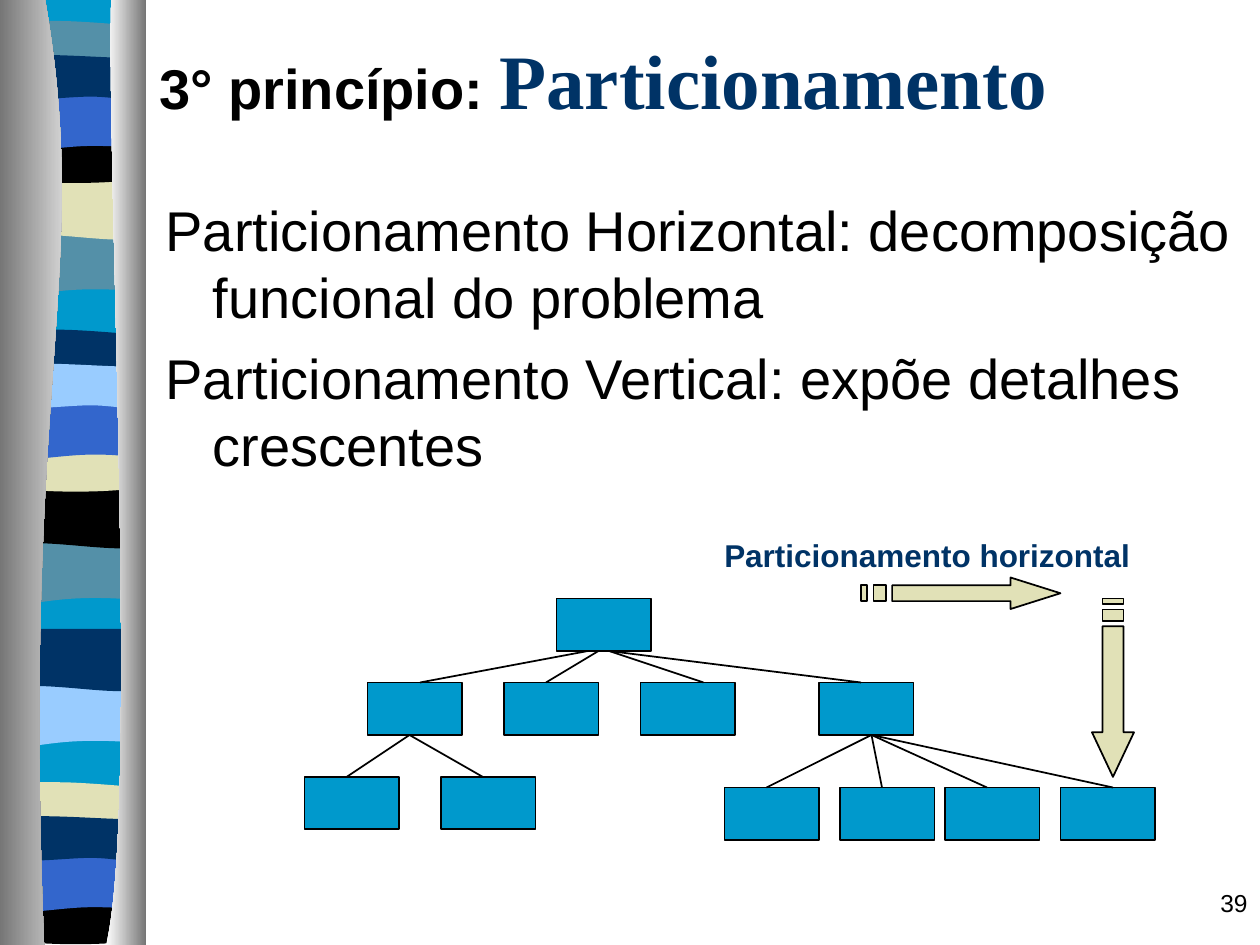
from pptx import Presentation
from pptx.dml.color import RGBColor
from pptx.enum.shapes import MSO_CONNECTOR, MSO_SHAPE
from pptx.enum.text import MSO_ANCHOR, PP_ALIGN
from pptx.oxml.ns import qn
from pptx.util import Inches, Pt
from lxml.etree import SubElement

BLACK = RGBColor(0x00, 0x00, 0x00)
WHITE = RGBColor(0xFF, 0xFF, 0xFF)
GRAY = RGBColor(0x76, 0x76, 0x76)
CYAN = RGBColor(0x00, 0x99, 0xCC)
TEAL = RGBColor(0x54, 0x90, 0xA8)
NAVY = RGBColor(0x00, 0x33, 0x66)
BLUE = RGBColor(0x33, 0x66, 0xCC)
SKY = RGBColor(0x99, 0xCC, 0xFF)
SAND = RGBColor(0xE1, 0xE1, 0xB7)

# Grid of 120 columns by 90 rows
COLUMNS, ROWS = 120, 90
CELL = Inches(1 / 12)

presentation = Presentation()
presentation.slide_width = COLUMNS * CELL
presentation.slide_height = ROWS * CELL
slide = presentation.slides.add_slide(presentation.slide_layouts[6])
shapes = slide.shapes


def curve(points):
    """Split an edge into a start point and cubic curves; two points stay a straight edge."""
    if len(points) == 2:
        return points
    return [points[0]] + [points[first:first + 3] for first in range(1, len(points), 3)]


def outline(*contours):
    """Closed freeform in grid cells: a tuple is a corner, a list of three points a curve."""
    builder = shapes.build_freeform(*(value * CELL for value in contours[0][0]))
    for index, contour in enumerate(contours):
        points = [point for part in contour
                  for point in (part if isinstance(part, list) else [part])]
        scaled = [(x * CELL, y * CELL) for x, y in points]
        if index:
            builder.move_to(*scaled[0])
        builder.add_line_segments(scaled[1:], close=True)
    shape = builder.convert_to_shape()
    segments = iter(list(shape._element.iter(qn("a:lnTo"))))
    for contour in contours:
        for part in contour[1:]:
            segment = next(segments)
            if isinstance(part, list):
                segment.tag = qn("a:cubicBezTo")
                for extra in (next(segments), next(segments)):
                    segment.append(extra[0])
                    extra.getparent().remove(extra)
    shape.shadow.inherit = False
    shape.fill.solid()
    shape.line.fill.background()
    return shape


# Side ribbon: base, then wavy bands repeated down the slide.
# Edges run right to left: x is a share of the ribbon width, y is in rows.
RIBBON_LEFT, RIBBON_WIDTH = 0.7, 13
flat = [(1, 0), (0, 0)]
bands = [
    (22.2, flat, [(1, 5.6), (0.31, 4.7), (0.17, 6.6), (0, 5.6)],
     [(0, TEAL), (29.4, TEAL), (43, SKY)]),
    (16.9, flat, [(1, 5.6), (0.83, 6.6), (0.31, 4.9), (0, 5.6)],
     [(0, SAND), (29.4, BLACK), (43, NAVY)]),
    (2.5, [(1, 0), (0.87, -0.1), (0.55, -0.5), (0.38, -0.5), (0.21, -0.5), (0.06, -0.6), (0, 0)],
     [(1, 2.9), (0.83, 3.4), (0.17, 3.4), (0, 2.9)],
     [(0, TEAL), (29.4, NAVY), (72.5, SAND)]),
    (13, [(1, 0), (0.79, 0), (0.61, 0.6), (0, 0)],
     [(1, 3.9), (0.83, 4.6), (0.17, 4.6), (0, 3.9)],
     [(0, BLACK), (29.4, SAND), (72.5, BLACK)]),
    (8.9, flat,
     [(1, 5.6), (0.84, 5), (0.78, 5), (0.61, 5), (0.44, 5), (0.15, 5.6), (0, 5.6)],
     [(0, BLUE), (29.4, BLUE), (72.5, BLUE)]),
    (5.5, [(1, 0), (0.97, 0), (1.01, 0), (0.84, 0), (0.67, 0), (0.14, -0.6), (0, 0)],
     [(1, 3.7), (0.94, 4.3), (0.78, 3.7), (0.61, 3.7), (0.44, 3.7), (0.1, 4.3), (0, 3.7)],
     [(0, NAVY), (29.4, SKY), (72.5, NAVY)]),
]
ribbon_right = RIBBON_LEFT + RIBBON_WIDTH
base = outline([(RIBBON_LEFT, 0), (ribbon_right, 0), (ribbon_right, 89.6), (RIBBON_LEFT, 89.6)])
base.fill.fore_color.rgb = CYAN
for top, upper, lower, repeats in bands:
    for shift, color in repeats:
        lower_edge, upper_edge = (
            [(RIBBON_LEFT + x * RIBBON_WIDTH, top + shift + y) for x, y in edge]
            for edge in (lower, upper[::-1]))
        band = outline(curve(lower_edge) + curve(upper_edge))
        band.fill.fore_color.rgb = color

# Shaded curtains on both sides of the ribbon
curtains = [
    (0, [(4.3, 0), (8.8, 26), (2, 35.5), (4.2, ROWS)], (GRAY, WHITE)),
    (13.9, [(10.6, 0), (10.1, 15), (13.3, 77.5), (10.1, ROWS)], (WHITE, GRAY)),
]
for side, edge, colors in curtains:
    curtain = outline(curve(edge) + [(side, ROWS), (side, 0)])
    curtain.fill.gradient()
    curtain.fill.gradient_angle = 0
    for stop, color in zip(curtain.fill.gradient_stops, colors):
        stop.color.rgb = color

# Tree boxes, by level
BOX_WIDTH, BOX_HEIGHT = 9, 5
levels = [(57, [53]), (65, [35, 48, 61, 78]), (74, [29, 42]), (75, [69, 80, 90, 101])]
for row, columns in levels:
    for column in columns:
        box = shapes.add_shape(MSO_SHAPE.RECTANGLE, column * CELL, row * CELL,
                               BOX_WIDTH * CELL, BOX_HEIGHT * CELL)
        box.shadow.inherit = False
        box.fill.solid()
        box.fill.fore_color.rgb = CYAN
        box.line.color.rgb = BLACK
        box.line.width = Pt(1)

# Tree branches: start row, end row, (start column, end column)
branches = [
    (62, 65, [(56, 40), (57, 52), (58, 67), (58, 82)]),
    (70, 74, [(39, 33), (39, 46)]),
    (70, 75, [(83, 73), (83, 84), (83, 94), (83, 106)]),
]
for start_row, end_row, spans in branches:
    for start, end in spans:
        branch = shapes.add_connector(MSO_CONNECTOR.STRAIGHT, start * CELL, start_row * CELL,
                                      end * CELL, end_row * CELL)
        branch.line.color.rgb = BLACK
        branch.line.width = Pt(1)
        SubElement(branch._element.spPr, qn("a:effectLst"))

# Striped arrows, drawn as shares of length and thickness
arrow_parts = [
    [(5 / 32, 0.25), (0.75, 0.25), (0.75, 0), (1, 0.5), (0.75, 1), (0.75, 0.75), (5 / 32, 0.75)],
    [(0, 0.25), (1 / 32, 0.25), (1 / 32, 0.75), (0, 0.75)],
    [(1 / 16, 0.25), (1 / 8, 0.25), (1 / 8, 0.75), (1 / 16, 0.75)],
]
for left, top, length, thickness, vertical in [(82, 55, 19, 3, False), (104, 57, 17, 4, True)]:
    contours = []
    for part in arrow_parts:
        sized = [(along * length, across * thickness) for along, across in part]
        contours.append([(left + y, top + x) if vertical else (left + x, top + y)
                         for x, y in sized])
    arrow = outline(*contours)
    arrow.fill.fore_color.rgb = SAND
    arrow.line.color.rgb = BLACK
    arrow.line.width = Pt(1)

# Texts: place in cells, wrapping, paragraphs of (text, size, font, colour, bold) runs
texts = {
    "body": ((14.6, 18, 105.4, 32), True, [
        [("Particionamento Horizontal: decomposição funcional do problema",
          32, "Arial", BLACK, False)],
        [("Particionamento Vertical: expõe detalhes crescentes", 32, "Arial", BLACK, False)]]),
    "label": ((67.8, 50.5, 42, 4.8), True, [
        [("Particionamento horizontal", 18, "Arial", NAVY, True)]]),
    "title": ((14, 0, 102, 15), True, [
        [("3° princípio: ", 32, "Arial", BLACK, True),
         ("Particionamento", 44, "Times New Roman", NAVY, True)]]),
    "number": ((95, 84, 25, 6), True, [[("39", 14, "Arial", BLACK, False)]]),
}
for name, (place, wrap, paragraphs) in texts.items():
    frame = shapes.add_textbox(*(int(value * CELL) for value in place)).text_frame
    frame.word_wrap = wrap
    if name == "title":
        frame.vertical_anchor = MSO_ANCHOR.MIDDLE
    for index, runs in enumerate(paragraphs):
        paragraph = frame.add_paragraph() if index else frame.paragraphs[0]
        if index:
            paragraph.space_before = Pt(8)
        if name == "number":
            paragraph.alignment = PP_ALIGN.RIGHT
        if name == "body":
            properties = paragraph._p.get_or_add_pPr()
            properties.set("marL", str(Pt(27)))
            properties.set("indent", str(-Pt(27)))
        for text, size, font_name, color, bold in runs:
            run = paragraph.add_run()
            run.text = text
            font = run.font if len(runs) > 1 else paragraph.font
            font.size = Pt(size)
            font.name = font_name
            font.bold = bold
            font.color.rgb = color

presentation.save("out.pptx")
